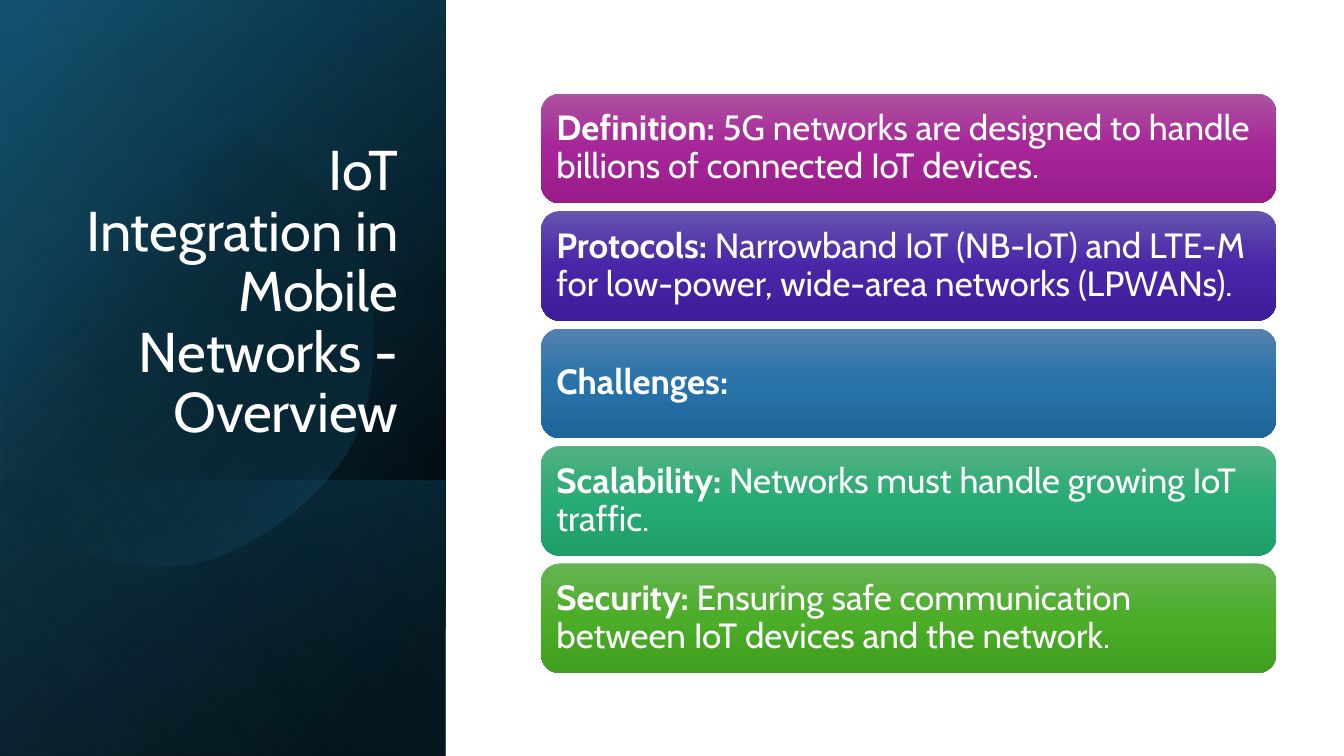
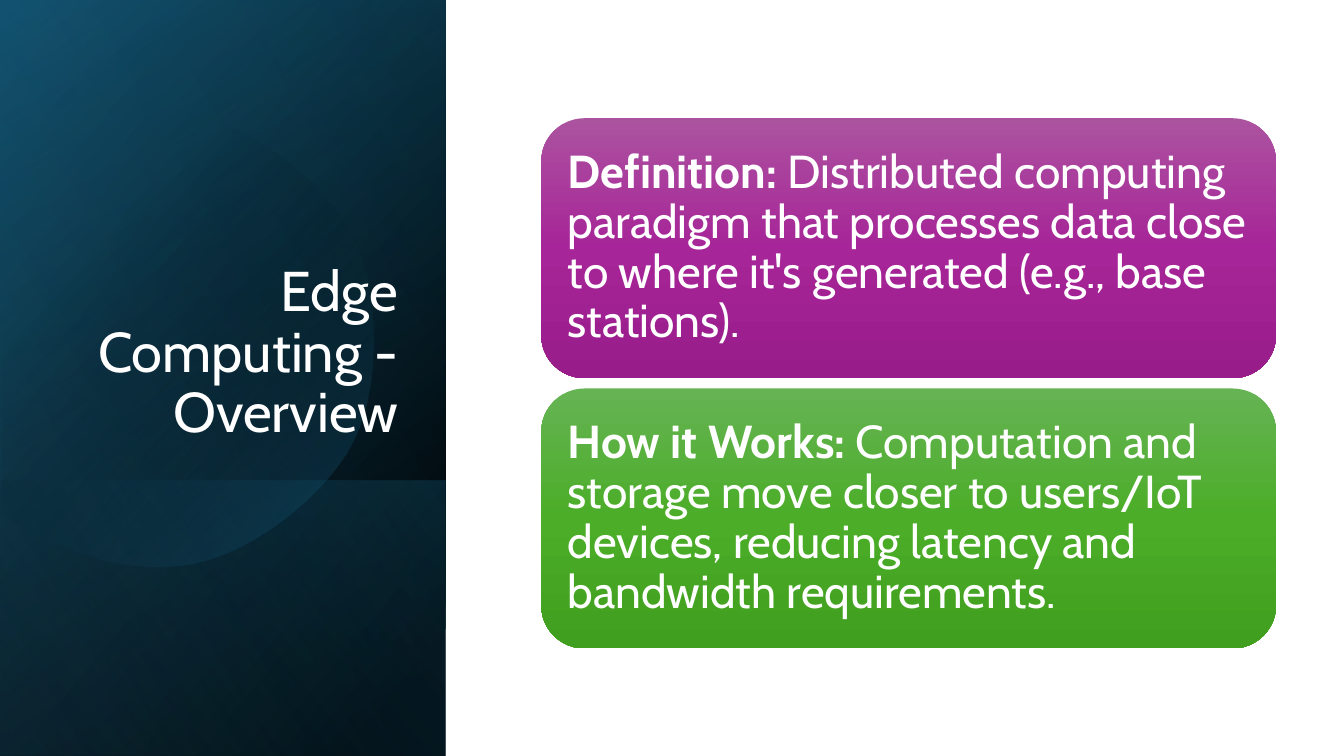
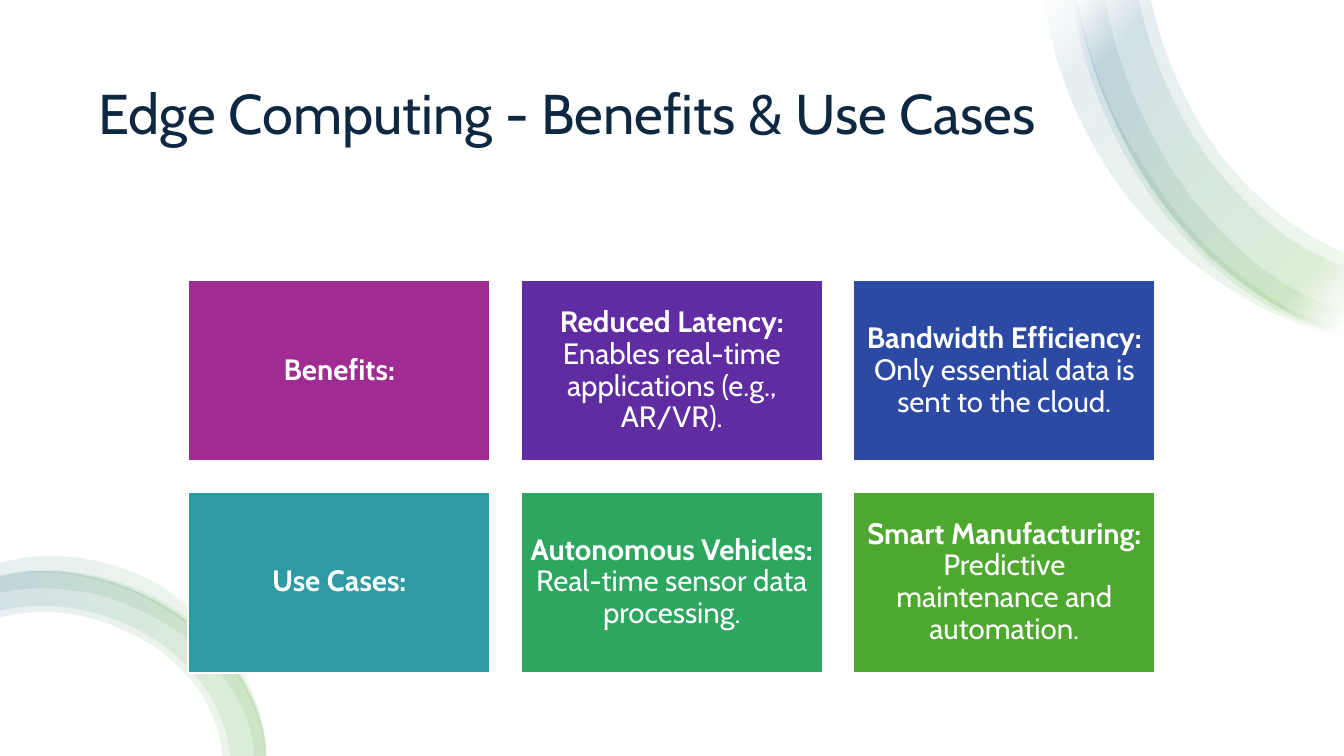
from dataclasses import dataclass
from math import cos, radians, sin

from lxml import etree
from pptx import Presentation
from pptx import util as u
from pptx.dml.color import RGBColor
from pptx.enum import shapes, text
from pptx.oxml.ns import qn


@dataclass(frozen=True)
class Theme:
    font: str = "Cabin"
    white: str = "FFFFFF"
    black: str = "000000"
    navy: str = "0E2841"
    deep_teal: str = "104862"
    teal: str = "156082"
    sky: str = "46B1E1"
    green: str = "4EA72E"
    magenta_card: tuple = ("AC53A0", "A62598", "991C8B")
    violet_card: tuple = ("6553AE", "4926A8", "3E1C9A")
    blue_card: tuple = ("5382AF", "2772A9", "1D669C")
    jade_card: tuple = ("54B183", "27AB74", "1E9E68")
    green_card: tuple = ("66B354", "4BAD28", "409F1E")
    tiles: tuple = ("A02B93", "5F2CA1", "2C49A3", "2D9AA4", "2DA65F", "4EA72E")
    title_size: int = 40
    small_card_size: int = 25
    large_card_size: int = 33
    tile_size: int = 21


THEME = Theme()
SLIDE_WIDTH, SLIDE_HEIGHT = 33.87, 19.05
PANEL_WIDTH = 11.23

# Ribbon edges in centimetres; each ribbon is (outer edge, inner edge).
TOP_OUTER = [(33.87, 8.43), (33.25, 8.23), (31.06, 6.96), (29.26, 5.08),
             (27.94, 2.72), (27.13, 0)]
TOP_RIBBONS = [
    ([(33.87, 8.51), (32.56, 8.1), (31.01, 7.29), (29.59, 6.22), (28.35, 4.88),
      (27.38, 3.33), (26.44, 0.66), (26.35, 0)],
     [(27.16, 0), (27.48, 1.32), (28.09, 2.92), (28.96, 4.39), (30, 5.77),
      (31.24, 6.93), (32.66, 7.87), (33.87, 8.33)]),
    (TOP_OUTER,
     [(29, 0), (29.41, 1.4), (30.96, 4.17), (33.2, 6.05), (33.87, 6.38)]),
    ([(33.87, 8.46), (32.49, 7.98), (29.79, 5.92), (28.75, 4.55), (27.91, 3.02),
      (27.13, 0.51), (27.04, 0)],
     [(27.87, 0), (28.12, 1.12), (28.68, 2.64), (30.35, 5.36), (31.47, 6.48),
      (32.77, 7.37), (33.87, 7.82)]),
    (TOP_OUTER,
     [(28.7, 0), (29.13, 1.5), (30.73, 4.37), (33.05, 6.35), (33.87, 6.71)]),
]
BOTTOM_OUTER = [(6.68, 19.05), (6.65, 18.67), (5.99, 16.99), (4.7, 15.65),
                (2.97, 14.73), (1.02, 14.4), (0, 14.53)]
BOTTOM_RIBBONS = [
    (BOTTOM_OUTER,
     [(0, 15.57), (1.02, 15.42), (2.72, 15.72), (4.22, 16.56), (5.23, 17.78),
      (5.59, 19.05)]),
    (BOTTOM_OUTER,
     [(0, 15.39), (1.02, 15.27), (2.77, 15.57), (4.32, 16.43), (5.38, 17.7),
      (5.79, 19.05)]),
    ([(6.68, 19.05), (6.58, 18.26), (6.27, 17.4), (5.16, 15.93), (3.61, 14.91),
      (1.75, 14.4), (0.79, 14.38), (0, 14.5)],
     [(0, 14.94), (0.84, 14.83), (1.7, 14.86), (2.57, 15.01), (3.4, 15.32),
      (4.88, 16.23), (5.46, 16.84), (5.94, 17.55), (6.27, 18.31), (6.38, 19.05)]),
    ([(6.71, 19.05), (6.35, 17.45), (5.92, 16.59), (5.33, 15.82), (4.6, 15.16),
      (3.76, 14.61), (1.8, 14.05), (0.79, 14.05), (0, 14.2)],
     [(0, 14.53), (0.81, 14.43), (1.75, 14.48), (2.67, 14.68), (3.53, 15.01),
      (4.34, 15.47), (5.08, 16.03), (5.72, 16.71), (6.22, 17.5), (6.55, 18.34),
      (6.65, 19.05)]),
]


def apply_format(target, formats):
    for name, value in formats.items():
        setattr(target, name, value)


def fill_solid(shape, colour):
    shape.fill.solid()
    shape.fill.fore_color.rgb = RGBColor.from_string(colour)


def fill_gradient(shape, stops, angle):
    """Fill with (position %, colour, opacity %) stops, clockwise angle in degrees."""
    shape.fill.background()
    properties = shape._element.spPr
    gradient = etree.Element(qn("a:gradFill"), rotWithShape="1")
    stop_list = etree.SubElement(gradient, qn("a:gsLst"))
    for position, colour, opacity in stops:
        stop = etree.SubElement(stop_list, qn("a:gs"), pos=str(position * 1000))
        paint = etree.SubElement(stop, qn("a:srgbClr"), val=colour)
        if opacity < 100:
            etree.SubElement(paint, qn("a:alpha"), val=str(opacity * 1000))
    etree.SubElement(gradient, qn("a:lin"), ang=str(angle * 60000), scaled="0")
    properties.replace(properties.find(qn("a:noFill")), gradient)


def add_block(slide, kind, left, top, width, height):
    shape = slide.shapes.add_shape(
        kind, u.Cm(left), u.Cm(top), u.Cm(width), u.Cm(height))
    shape.shadow.inherit = False
    shape.line.fill.background()
    return shape


def bezier_segments(knots):
    """Triples (control, control, end) of a smooth curve through complex knots."""
    chords = [end - start for start, end in zip(knots, knots[1:])]
    lengths = [abs(chord) for chord in chords]
    slopes = [chord / length for chord, length in zip(chords, lengths)]
    tangents = [(before * n + after * m) / (m + n) for before, after, m, n
                in zip(slopes, slopes[1:], lengths, lengths[1:])]
    tangents = [2 * slopes[0] - tangents[0], *tangents, 2 * slopes[-1] - tangents[-1]]
    return [(start + leave * length / 3, end - arrive * length / 3, end)
            for start, end, leave, arrive, length
            in zip(knots, knots[1:], tangents, tangents[1:], lengths)]


def add_outline(slide, edges, stops, angle):
    """Draw a closed outline of smooth edges, joined to each other by straight lines."""
    edges = [[complex(u.Cm(x), u.Cm(y)) for x, y in edge] for edge in edges]
    knots = [knot for edge in edges for knot in edge]
    builder = slide.shapes.build_freeform(knots[0].real, knots[0].imag)
    builder.add_line_segments([(knot.real, knot.imag) for knot in knots[1:]], close=True)
    shape = builder.convert_to_shape()
    shape.shadow.inherit = False
    shape.line.fill.background()
    fill_gradient(shape, stops, angle)

    origin = complex(shape.left, shape.top)
    segments = []
    for edge in edges:
        segments += [None, *bezier_segments(edge)]
    lines = list(shape._element.iter(qn("a:lnTo")))
    for line, segment in zip(lines, segments[1:]):
        if segment:
            curve = etree.Element(qn("a:cubicBezTo"))
            for point in segment:
                local = point - origin
                etree.SubElement(curve, qn("a:pt"), x=str(round(local.real)),
                                 y=str(round(local.imag)))
            line.getparent().replace(line, curve)


def write_text(shape, runs, size, colour, align, anchor, insets):
    """Write (wording, bold) runs as one paragraph; insets are (sides, top and bottom)."""
    sides, ends = (u.Cm(inset) for inset in insets)
    frame = shape.text_frame
    apply_format(frame, {
        "word_wrap": True, "vertical_anchor": anchor, "margin_left": sides,
        "margin_right": sides, "margin_top": ends, "margin_bottom": ends})
    paragraph = frame.paragraphs[0]
    apply_format(paragraph, {"alignment": align, "line_spacing": 0.9})
    for wording, bold in runs:
        run = paragraph.add_run()
        run.text = wording
        apply_format(run.font, {"name": THEME.font, "size": u.Pt(size), "bold": bold})
        run.font.color.rgb = RGBColor.from_string(colour)


def write_entry(shape, label, detail, size, align, inset):
    runs = [(label, True)] + ([(" " + detail, False)] if detail else [])
    write_text(shape, runs, size, THEME.white, align,
               text.MSO_ANCHOR.MIDDLE, (inset, inset))


def add_title(slide, title, box, colour, align, anchor):
    shape = slide.shapes.add_textbox(*(u.Cm(length) for length in box))
    write_text(shape, [(title, False)], THEME.title_size, colour, align, anchor,
               (0.25, 0.13))


def add_panel_layer(slide, top, stops, angle):
    layer = add_block(slide, shapes.MSO_SHAPE.RECTANGLE,
                      0, top, PANEL_WIDTH, SLIDE_HEIGHT - top)
    fill_gradient(layer, stops, angle)


def add_title_panel(slide, title):
    add_panel_layer(slide, 0, [(8, THEME.black, 100), (100, THEME.deep_teal, 100)], 220)
    add_panel_layer(slide, 0, [(0, THEME.black, 0), (99, THEME.teal, 46)], 240)
    add_panel_layer(slide, 12.1, [(2, THEME.teal, 29), (100, THEME.black, 30)], 140)
    centre_x, centre_y, radius = 3.75, 8.54, 5.75
    disc = [(centre_x + radius * cos(radians(degree)),
             centre_y + radius * sin(radians(degree)))
            for degree in range(-130, 131, 52)]
    add_outline(slide, [disc], [(29, THEME.black, 0), (100, THEME.teal, 43)], 45)
    add_panel_layer(slide, 0, [(0, THEME.black, 0), (99, THEME.sky, 11)], 150)
    add_title(slide, title, (1.63, 4.69, 8.66, 6.65), THEME.white,
              text.PP_ALIGN.RIGHT, text.MSO_ANCHOR.BOTTOM)


def add_card_stack(slide, cards, height, gap, size, inset):
    """Stack gradient cards around a fixed middle height."""
    middle = 9.66
    pitch = height + gap
    first_top = middle - (len(cards) * pitch - gap) / 2
    for index, (label, detail, colours) in enumerate(cards):
        card = add_block(slide, shapes.MSO_SHAPE.ROUNDED_RECTANGLE,
                         13.64, first_top + index * pitch, 18.52, height)
        stops = [(position, colour, 100)
                 for position, colour in zip((0, 50, 100), colours)]
        fill_gradient(card, stops, 90)
        write_entry(card, label, detail, size, text.PP_ALIGN.LEFT, inset)


def add_ribbons(slide, ribbons, angle):
    stops = [(2, THEME.white, 10), (16, THEME.green, 10),
             (85, THEME.teal, 10), (100, THEME.white, 10)]
    for edges in ribbons:
        add_outline(slide, edges, stops, angle)


def add_tile_grid(slide, entries, columns=3):
    width, height, gap = 7.62, 4.57, 0.76
    for index, ((label, detail), colour) in enumerate(zip(entries, THEME.tiles)):
        row, column = divmod(index, columns)
        tile = add_block(slide, shapes.MSO_SHAPE.RECTANGLE,
                         4.74 + column * (width + gap),
                         7.06 + row * (height + gap), width, height)
        fill_solid(tile, colour)
        tile.line.color.rgb = RGBColor.from_string(THEME.white)
        tile.line.width = u.Pt(1.5)
        write_entry(tile, label, detail, THEME.tile_size, text.PP_ALIGN.CENTER, 0.22)


def build_iot_overview(slide):
    add_title_panel(slide, "IoT Integration in Mobile Networks - Overview")
    add_card_stack(slide, [
        ("Definition:",
         "5G networks are designed to handle billions of connected IoT devices.",
         THEME.magenta_card),
        ("Protocols:",
         "Narrowband IoT (NB-IoT) and LTE-M for low-power, wide-area networks (LPWANs).",
         THEME.violet_card),
        ("Challenges:", "", THEME.blue_card),
        ("Scalability:", "Networks must handle growing IoT traffic.", THEME.jade_card),
        ("Security:",
         "Ensuring safe communication between IoT devices and the network.",
         THEME.green_card),
    ], height=2.76, gap=0.2, size=THEME.small_card_size, inset=0.25)


def build_edge_overview(slide):
    add_title_panel(slide, "Edge Computing - Overview")
    add_card_stack(slide, [
        ("Definition:",
         "Distributed computing paradigm that processes data close to where it's "
         "generated (e.g., base stations).",
         THEME.magenta_card),
        ("How it Works:",
         "Computation and storage move closer to users/IoT devices, reducing latency "
         "and bandwidth requirements.",
         THEME.green_card),
    ], height=6.55, gap=0.26, size=THEME.large_card_size, inset=0.35)


def build_edge_benefits(slide):
    backdrop = add_block(slide, shapes.MSO_SHAPE.RECTANGLE,
                         0, 0, SLIDE_WIDTH, SLIDE_HEIGHT)
    fill_solid(backdrop, THEME.white)
    add_title(slide, "Edge Computing - Benefits & Use Cases", (2.24, 1.29, 29.39, 3.3),
              THEME.navy, text.PP_ALIGN.LEFT, text.MSO_ANCHOR.MIDDLE)
    add_ribbons(slide, TOP_RIBBONS, 220)
    add_ribbons(slide, BOTTOM_RIBBONS, 160)
    add_tile_grid(slide, [
        ("Benefits:", ""),
        ("Reduced Latency:", "Enables real-time applications (e.g., AR/VR)."),
        ("Bandwidth Efficiency:", "Only essential data is sent to the cloud."),
        ("Use Cases:", ""),
        ("Autonomous Vehicles:", "Real-time sensor data processing."),
        ("Smart Manufacturing:", "Predictive maintenance and automation."),
    ])


def main():
    presentation = Presentation()
    presentation.slide_width = u.Cm(SLIDE_WIDTH)
    presentation.slide_height = u.Cm(SLIDE_HEIGHT)
    blank = presentation.slide_layouts[6]
    for build in (build_iot_overview, build_edge_overview, build_edge_benefits):
        build(presentation.slides.add_slide(blank))
    presentation.save("out.pptx")


if __name__ == "__main__":
    main()
